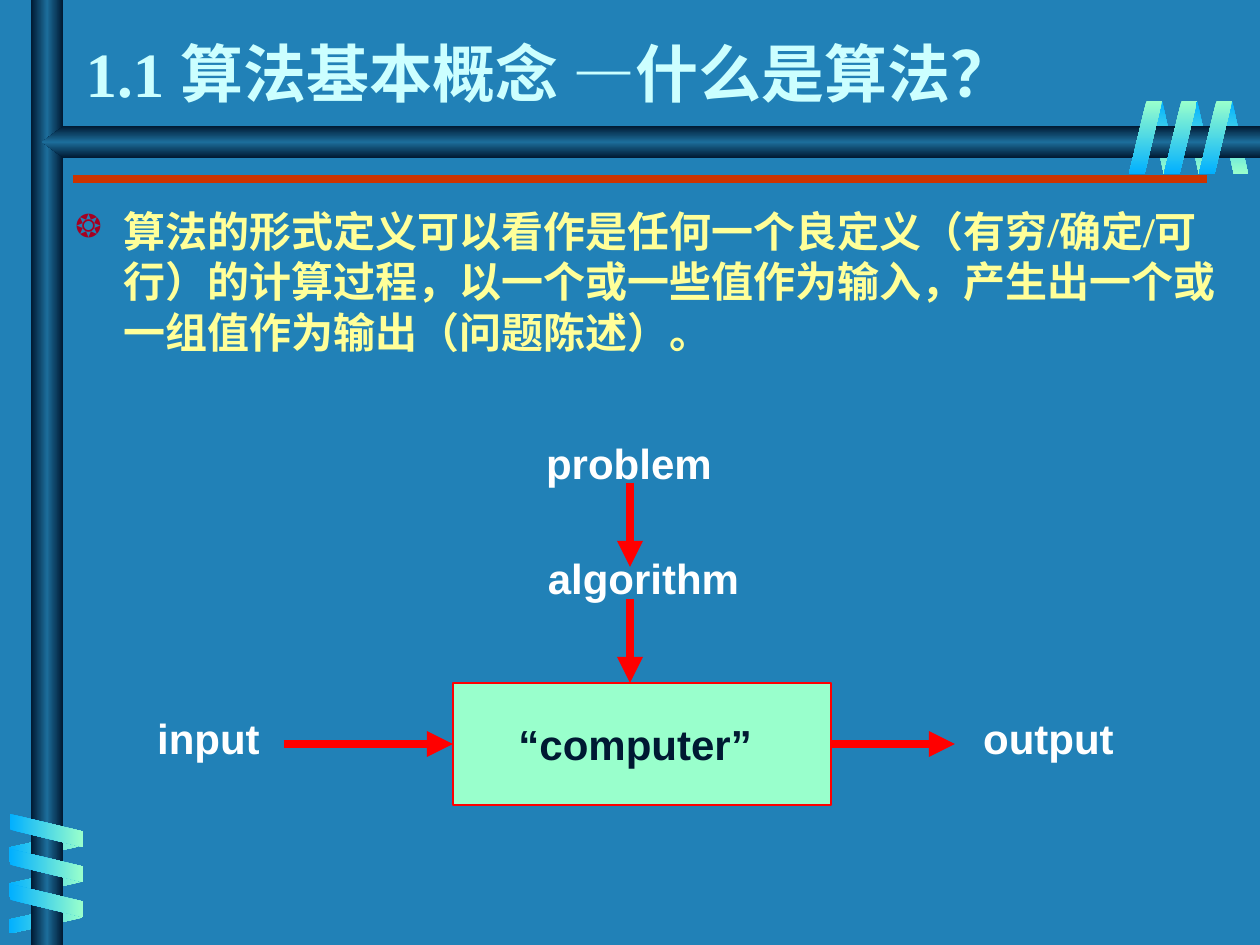
from dataclasses import dataclass
from typing import NamedTuple

from lxml.etree import SubElement
from pptx import Presentation
from pptx.dml.color import RGBColor
from pptx.enum.shapes import MSO_CONNECTOR as Connector
from pptx.enum.shapes import MSO_SHAPE as Preset
from pptx.enum.text import MSO_ANCHOR as Anchor
from pptx.enum.text import MSO_AUTO_SIZE as AutoSize
from pptx.enum.text import PP_ALIGN as Align
from pptx.oxml.ns import qn
from pptx.util import Emu, Pt

PX = 914400 / 126
COLORS = {
    "background": "2181B7", "title": "CCFFFF", "body": "FFFF99",
    "bullet": "A50021", "rule": "CC3300", "arrow": "FF0000",
    "mint": "99FFCC", "sky": "01B0FF", "navy": "001932",
    "steel": "1C6D9A", "label": "FFFFFF",
}
SERIF, SANS = "Times New Roman", "Arial"


class Box(NamedTuple):
    left: int
    top: int
    width: int
    height: int


@dataclass
class Coil:
    first: Box
    step_x: int
    step_y: int
    stops: tuple
    angle: int
    rotation: int = 0
    flipped: bool = False


@dataclass
class Label:
    text: str
    box: Box


@dataclass
class Arrow:
    start: tuple
    end: tuple
    begin_side: int | None = None
    end_side: int | None = None


def px(value: float) -> Emu:
    return Emu(round(value * PX))


def place(box: Box) -> list:
    return [px(value) for value in box]


def rgb(name: str) -> RGBColor:
    return RGBColor.from_string(COLORS[name])


def add_run(paragraph, text: str, font: str, size: int, color: str) -> None:
    run = paragraph.add_run()
    run.text = text
    run.font.name = font
    run.font.size = Pt(size)
    run.font.bold = True
    run.font.color.rgb = rgb(color)


def add_gradient_shape(slide, preset, box: Box, stops: tuple, angle: int,
                       adjustment: float | None = None, rotation: int = 0,
                       flipped: bool = False) -> None:
    shape = slide.shapes.add_shape(preset, *place(box))
    shape.shadow.inherit = False
    shape.line.fill.background()
    shape.rotation = rotation
    if adjustment is not None:
        shape.adjustments[0] = adjustment
    properties = shape._element.spPr
    if flipped:
        properties.find(qn("a:xfrm")).set("flipH", "1")
    shape.fill.gradient()
    gradient = properties.find(qn("a:gradFill"))
    for child in list(gradient):
        gradient.remove(child)
    gradient.set("rotWithShape", "0")
    stop_list = SubElement(gradient, qn("a:gsLst"))
    for index, color in enumerate(stops):
        position = index * 100000 // (len(stops) - 1)
        stop = SubElement(stop_list, qn("a:gs"), pos=str(position))
        SubElement(stop, qn("a:srgbClr"), val=COLORS[color])
    SubElement(gradient, qn("a:lin"), ang=str(angle * 60000), scaled="0")


def add_coil(slide, coil: Coil) -> None:
    for index in range(3):
        box = coil.first._replace(left=coil.first.left + index * coil.step_x,
                                  top=coil.first.top + index * coil.step_y)
        add_gradient_shape(slide, Preset.PARALLELOGRAM, box, coil.stops,
                           coil.angle, 0.53, coil.rotation, coil.flipped)


def add_line(slide, start: tuple, end: tuple, color: str, width: float):
    line = slide.shapes.add_connector(
        Connector.STRAIGHT, *[px(value) for value in (*start, *end)])
    line.line.color.rgb = rgb(color)
    line.line.width = Pt(width)
    SubElement(line._element.spPr, qn("a:effectLst"))
    return line


def add_arrow(slide, arrow: Arrow, target) -> None:
    line = add_line(slide, arrow.start, arrow.end, "arrow", 5)
    SubElement(line.line._get_or_add_ln(), qn("a:tailEnd"), type="triangle")
    if arrow.begin_side is not None:
        line.begin_connect(target, arrow.begin_side)
    if arrow.end_side is not None:
        line.end_connect(target, arrow.end_side)


def add_label(slide, label: Label) -> None:
    frame = slide.shapes.add_textbox(*place(label.box)).text_frame
    frame.word_wrap = True
    paragraph = frame.paragraphs[0]
    paragraph.alignment = Align.CENTER
    add_run(paragraph, label.text, SANS, 24, "label")


def add_title(slide) -> None:
    title = slide.shapes.title
    title.left, title.top, title.width, title.height = place(Box(73, 0, 1071, 116))
    frame = title.text_frame
    frame.auto_size = AutoSize.NONE
    frame.vertical_anchor = Anchor.BOTTOM
    paragraph = frame.paragraphs[0]
    paragraph.alignment = Align.LEFT
    for text, font in (("1.1 算法基本概念 ", SERIF), ("—", SANS),
                       ("什么是算法？", SERIF)):
        add_run(paragraph, text, font, 36, "title")


def add_definition(slide) -> None:
    frame = slide.shapes.add_textbox(*place(Box(63, 199, 1166, 714))).text_frame
    frame.word_wrap = True
    paragraph = frame.paragraphs[0]
    properties = paragraph._p.get_or_add_pPr()
    properties.set("marL", str(px(48)))
    properties.set("indent", str(px(-48)))
    bullet_color = SubElement(properties, qn("a:buClr"))
    SubElement(bullet_color, qn("a:srgbClr"), val=COLORS["bullet"])
    SubElement(properties, qn("a:buSzPct"), val="75000")
    SubElement(properties, qn("a:buChar"), char="❂")
    add_run(paragraph, "算法的形式定义可以看作是任何一个良定义（有穷/确定/可行）的计算过程，"
            "以一个或一些值作为输入，产生出一个或一组值作为输出（问题陈述）。",
            SERIF, 24, "body")


def add_computer(slide):
    computer = slide.shapes.add_shape(Preset.RECTANGLE,
                                      *place(Box(453, 683, 378, 122)))
    computer.shadow.inherit = False
    computer.fill.solid()
    computer.fill.fore_color.rgb = rgb("mint")
    computer.line.color.rgb = rgb("arrow")
    computer.line.width = Pt(1)
    frame = computer.text_frame
    frame.vertical_anchor = Anchor.MIDDLE
    frame.margin_right = px(26)
    frame.word_wrap = True
    paragraph = frame.paragraphs[0]
    paragraph.alignment = Align.CENTER
    add_run(paragraph, "“computer”", SANS, 24, "navy")
    return computer


def main() -> None:
    deck = Presentation()
    deck.slide_width, deck.slide_height = px(1260), px(945)
    slide = deck.slides.add_slide(deck.slide_layouts[5])
    slide.background.fill.solid()
    slide.background.fill.fore_color.rgb = rgb("background")

    cool, warm = ("sky", "mint"), ("mint", "sky")
    metal = ("navy", "steel", "navy")
    add_coil(slide, Coil(Box(1148, 101, 30, 73), 35, 0, cool, 90, 180, True))
    add_coil(slide, Coil(Box(31, 810, 30, 73), 0, 36, warm, 0, 90, True))
    add_gradient_shape(slide, Preset.RECTANGLE, Box(31, 0, 32, 945), metal, 0)
    add_gradient_shape(slide, Preset.PENTAGON, Box(42, 126, 1218, 32), metal,
                       90, 0.68, flipped=True)
    add_coil(slide, Coil(Box(30, 794, 33, 73), 0, 35, cool, 0, 270))
    add_coil(slide, Coil(Box(1129, 101, 33, 73), 35, 0, warm, 90))
    add_line(slide, (73, 179), (1207, 179), "rule", 4.5)

    add_title(slide)
    add_definition(slide)
    computer = add_computer(slide)
    for label in (Label("problem", Box(523, 431, 212, 73)),
                  Label("algorithm", Box(535, 546, 217, 73)),
                  Label("input", Box(126, 706, 165, 73)),
                  Label("output", Box(966, 706, 165, 73))):
        add_label(slide, label)
    for arrow in (Arrow((630, 483), (630, 567)),
                  Arrow((630, 599), (630, 683)),
                  Arrow((284, 744), (453, 744), end_side=1),
                  Arrow((831, 744), (955, 744), begin_side=3)):
        add_arrow(slide, arrow, computer)
    deck.save("out.pptx")


if __name__ == "__main__":
    main()
